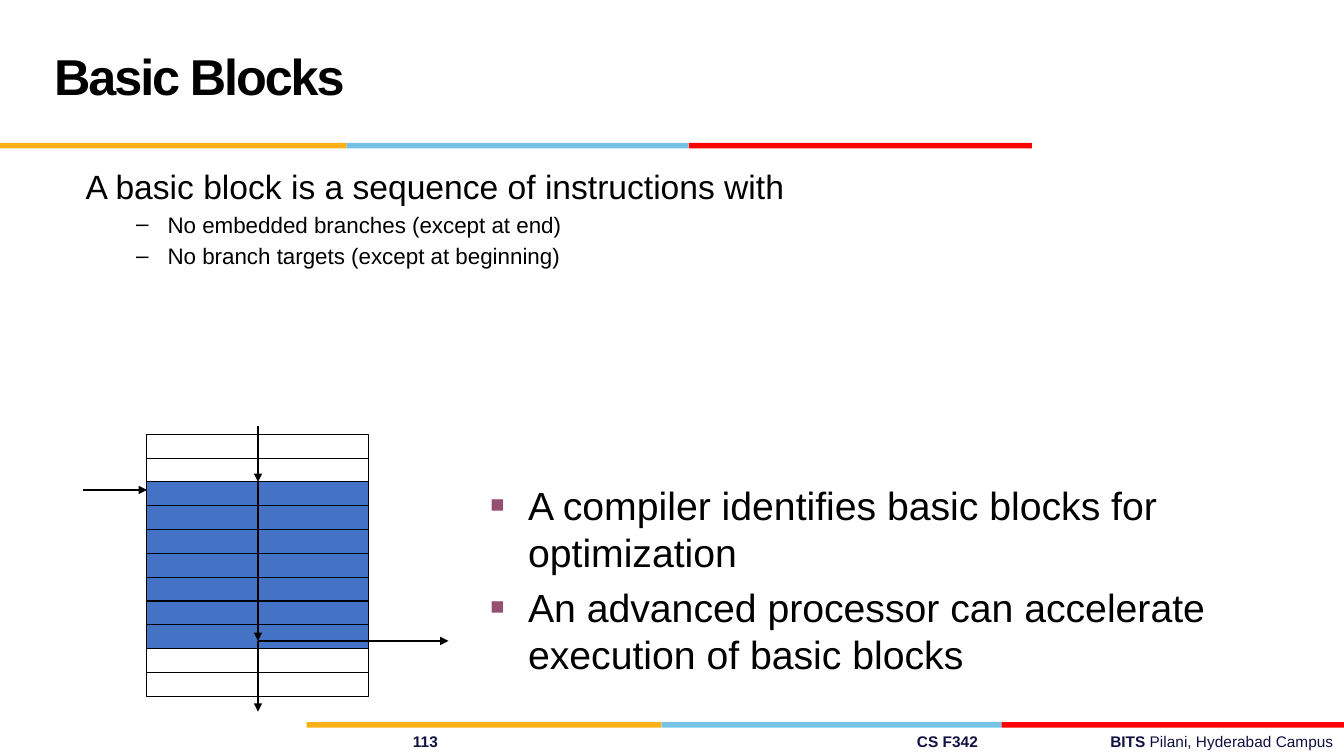
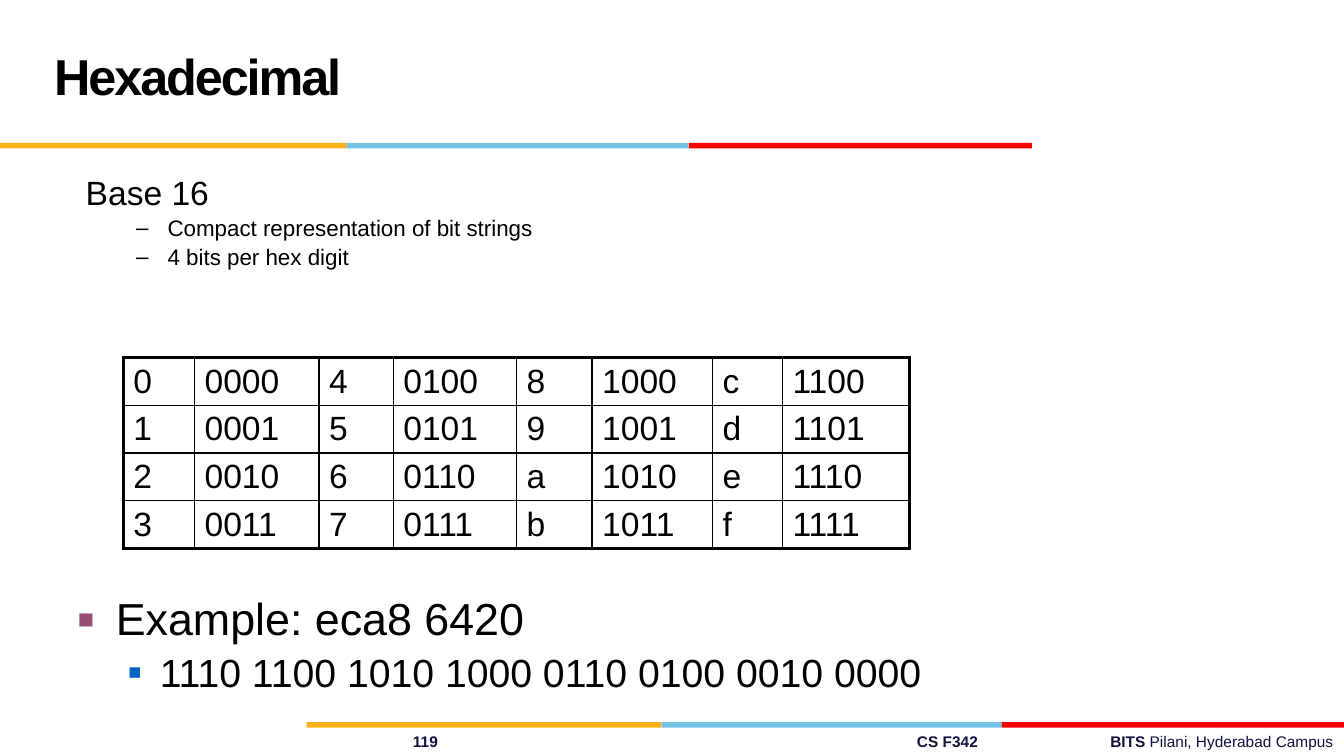
import pptx
import pptx.dml.color
import pptx.enum.shapes
import pptx.enum.text
import pptx.oxml
import pptx.oxml.ns
import pptx.util
from lxml import etree

Pt = pptx.util.Pt
RGBColor = pptx.dml.color.RGBColor
PP_ALIGN = pptx.enum.text.PP_ALIGN
MSO_ANCHOR = pptx.enum.text.MSO_ANCHOR
qn = pptx.oxml.ns.qn

BLACK = RGBColor(0x00, 0x00, 0x00)
NAVY = RGBColor(0x10, 0x11, 0x41)
ORANGE = RGBColor(0xFC, 0xB0, 0x17)
SKY = RGBColor(0x76, 0xC2, 0xE5)
RED = RGBColor(0xFF, 0x00, 0x00)
BLUE = RGBColor(0x44, 0x72, 0xC4)
PLUM = RGBColor(0x95, 0x4F, 0x72)
LINK_BLUE = RGBColor(0x05, 0x63, 0xC1)

FONT = "Arial"
TWO_CONTENT_LAYOUT = 3
HEADER_EDGES = (0, 247.6, 492, 737)
FOOTER_EDGES = (219, 472.5, 715.5, 960)

# Left margin and hanging indent of each list level
LEVEL_INDENTS = ((27, -27), (58.5, -22.5))
# Bullet character, colour and size in percent
DASH = ("–", BLACK, 100)
PLUM_SQUARE = ("■", PLUM, 60)
BLUE_SQUARE = ("■", LINK_BLUE, 55)


def add_text(paragraph, text, size=24, color=BLACK, bold=False, tracking=None):
    """Append a formatted run to the paragraph."""
    run = paragraph.add_run()
    run.text = text
    run.font.name = FONT
    run.font.size = Pt(size)
    run.font.bold = bold
    run.font.color.rgb = color
    if tracking is not None:
        run.font._element.set("spc", str(round(tracking * 100)))


def set_bullet(paragraph, level, bullet):
    """Give the paragraph its indents and its bullet, or none."""
    properties = paragraph._p.get_or_add_pPr()
    margin, indent = LEVEL_INDENTS[level]
    properties.set("marL", str(Pt(margin)))
    properties.set("indent", str(Pt(indent)))
    if bullet is None:
        etree.SubElement(properties, qn("a:buNone"))
        return
    character, color, percent = bullet
    bullet_color = etree.SubElement(properties, qn("a:buClr"))
    etree.SubElement(bullet_color, qn("a:srgbClr"), val=str(color))
    etree.SubElement(properties, qn("a:buSzPct"), val=str(percent * 1000))
    etree.SubElement(properties, qn("a:buFont"), typeface=FONT)
    etree.SubElement(properties, qn("a:buChar"), char=character)


def set_borders(cell, widths):
    """Draw the left, right, top and bottom borders of a cell."""
    properties = cell._tc.get_or_add_tcPr()
    for position, (side, width) in enumerate(zip("LRTB", widths)):
        border = etree.Element(qn("a:ln" + side), w=str(Pt(width)))
        fill = etree.SubElement(border, qn("a:solidFill"))
        etree.SubElement(fill, qn("a:srgbClr"), val=str(BLACK))
        properties.insert(position, border)


class Deck:
    """The shared style and the current slide."""

    def __init__(self):
        self.presentation = pptx.Presentation()
        self.presentation.slide_width = Pt(960)
        self.presentation.slide_height = Pt(540)
        self.slide = None

    def start_slide(self, title, number):
        layout = self.presentation.slide_layouts[TWO_CONTENT_LAYOUT]
        self.slide = self.presentation.slides.add_slide(layout)
        self.band(HEADER_EDGES, 102)
        self.band(FOOTER_EDGES, 515.8)
        self.footer(number)
        self.title(title)

    def title(self, text):
        shape = self.slide.shapes.title
        self.place(shape, 31.5, 12.2, 664, 90)
        shape.text_frame.vertical_anchor = MSO_ANCHOR.MIDDLE
        paragraph = shape.text_frame.paragraphs[0]
        paragraph.alignment = PP_ALIGN.LEFT
        paragraph.line_spacing = Pt(36)
        add_text(paragraph, text, size=36, bold=True, tracking=-1.5)

    def place(self, shape, left, top, width, height):
        shape.left, shape.top = Pt(left), Pt(top)
        shape.width, shape.height = Pt(width), Pt(height)
        shape.text_frame.word_wrap = True
        shape.text_frame.auto_size = pptx.enum.text.MSO_AUTO_SIZE.NONE

    def band(self, edges, top):
        for left, right, color in zip(edges, edges[1:], (ORANGE, SKY, RED)):
            self.rectangle(left, top, right - left, 4, fill=color)

    def footer(self, number):
        self.footer_item(295, 60, [(str(number), True)])
        self.footer_item(655, 70, [("CS F342", True)])
        self.footer_item(752.6, 200, [("BITS ", True), ("Pilani, Hyderabad Campus", False)],
                         PP_ALIGN.RIGHT)

    def footer_item(self, left, width, runs, alignment=PP_ALIGN.LEFT):
        shape = self.slide.shapes.add_textbox(0, 0, 0, 0)
        self.place(shape, left, 519.4, width, 20)
        shape.text_frame.margin_left = shape.text_frame.margin_right = 0
        paragraph = shape.text_frame.paragraphs[0]
        paragraph.alignment = alignment
        for text, bold in runs:
            add_text(paragraph, text, size=11, color=NAVY, bold=bold)

    def bullet_list(self, index, box, items, line_spacing=1.0):
        """Fill a body placeholder with (level, bullet, size, text) items."""
        shape = self.slide.placeholders[index]
        self.place(shape, *box)
        frame = shape.text_frame
        for position, (level, bullet, size, text) in enumerate(items):
            paragraph = frame.add_paragraph() if position else frame.paragraphs[0]
            paragraph.level = level
            set_bullet(paragraph, level, bullet)
            paragraph.line_spacing = line_spacing
            paragraph.space_before = Pt(size * 0.2 if position else 0)
            add_text(paragraph, text, size=size)

    def rectangle(self, left, top, width, height, fill=None, line_width=None):
        shape = self.slide.shapes.add_shape(
            pptx.enum.shapes.MSO_SHAPE.RECTANGLE, Pt(left), Pt(top), Pt(width), Pt(height))
        shape.shadow.inherit = False
        if fill is None:
            shape.fill.background()
        else:
            shape.fill.solid()
            shape.fill.fore_color.rgb = fill
        if line_width is None:
            shape.line.fill.background()
        else:
            shape.line.color.rgb = BLACK
            shape.line.width = Pt(line_width)

    def arrow(self, start, end):
        connector = self.slide.shapes.add_connector(
            pptx.enum.shapes.MSO_CONNECTOR.STRAIGHT, *map(Pt, start + end))
        connector.line.color.rgb = BLACK
        connector.line.width = Pt(1.5)
        etree.SubElement(connector.line._get_or_add_ln(), qn("a:tailEnd"), type="triangle")
        etree.SubElement(connector._element.spPr, qn("a:effectLst"))

    def hexadecimal_table(self, left, top, column_widths, row_height):
        """Show each hex digit beside its bits, counting down the column pairs."""
        rows, columns = 4, len(column_widths)
        table = self.slide.shapes.add_table(
            rows, columns, Pt(left), Pt(top),
            Pt(sum(column_widths)), Pt(rows * row_height)).table
        table.first_row = table.horz_banding = False
        for column, width in zip(table.columns, column_widths):
            column.width = Pt(width)
        # Heavy frame, medium lines between pairs, thin lines elsewhere
        vertical = [1.5 if edge % 2 == 0 else 1 for edge in range(columns + 1)]
        vertical[0] = vertical[-1] = 2.25
        horizontal = [2.25] + [1] * (rows - 1) + [2.25]
        for row in range(rows):
            table.rows[row].height = Pt(row_height)
            for column in range(columns):
                cell = table.cell(row, column)
                cell.fill.background()
                set_borders(cell, vertical[column:column + 2] + horizontal[row:row + 2])
                value = column // 2 * rows + row
                text = format(value, "04b" if column % 2 else "x")
                add_text(cell.text_frame.paragraphs[0], text)


def basic_blocks(deck):
    deck.start_slide("Basic Blocks", 113)
    deck.bullet_list(1, (54, 115, 652, 178), [
        (0, None, 24, "A basic block is a sequence of instructions with"),
        (1, DASH, 16, "No embedded branches (except at end)"),
        (1, DASH, 16, "No branch targets (except at beginning)"),
    ])

    # Instruction stack with the basic block filled
    for row in range(11):
        deck.rectangle(104.5, 310.3 + row * 17, 158.5, 17,
                       fill=BLUE if 2 <= row <= 8 else None, line_width=0.75)

    # Control flow through, into and out of the block
    center, entry, leave = 184.3, 344.2, 457.8
    for start, end in (
        ((center, 304.6), (center, entry)),
        ((center, entry), (center, leave)),
        ((center, leave), (center, 508.3)),
        ((center, leave), (320.4, leave)),
        ((59.5, 350), (105, 350)),
    ):
        deck.arrow(start, end)

    deck.bullet_list(2, (343, 340, 537, 175), [
        (0, PLUM_SQUARE, 28, "A compiler identifies basic blocks for optimization"),
        (0, PLUM_SQUARE, 28, "An advanced processor can accelerate execution of basic blocks"),
    ])


def hexadecimal(deck):
    deck.start_slide("Hexadecimal", 119)
    deck.bullet_list(1, (54, 122.5, 652, 122), [
        (0, None, 24, "Base 16"),
        (1, DASH, 16, "Compact representation of bit strings"),
        (1, DASH, 16, "4 bits per hex digit"),
    ], line_spacing=0.9)
    deck.hexadecimal_table(88, 255.6, (51, 89, 53, 88, 54, 86, 50, 91), 34)
    deck.bullet_list(2, (48.5, 423, 652, 88), [
        (0, PLUM_SQUARE, 32, "Example: eca8 6420"),
        (1, BLUE_SQUARE, 28, "1110 1100 1010 1000 0110 0100 0010 0000"),
    ], line_spacing=0.9)


def main():
    deck = Deck()
    basic_blocks(deck)
    hexadecimal(deck)
    deck.presentation.save("out.pptx")


if __name__ == "__main__":
    main()
